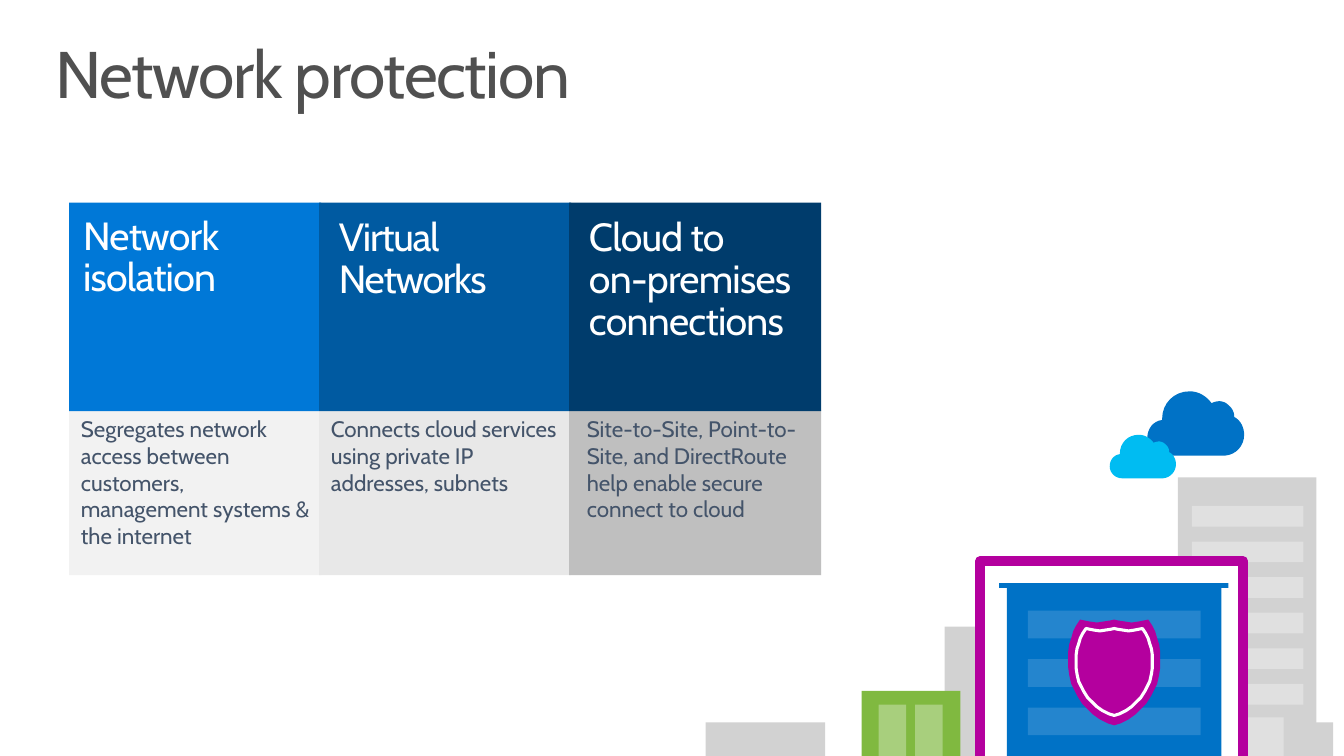
from dataclasses import dataclass

from lxml import etree
from pptx import Presentation, util as u
from pptx.dml.color import RGBColor
from pptx.enum import shapes, text
from pptx.oxml import ns


@dataclass(frozen=True)
class Theme:
    font: str = "Cabin"
    title_size: float = 48
    header_size: float = 28.6
    body_size: float = 16.3
    title: str = "505050"
    body: str = "44546A"
    white: str = "FFFFFF"
    grey: str = "D2D2D2"
    blue: str = "0072C6"
    cyan: str = "00BCF2"
    green: str = "80B940"
    magenta: str = "B4009E"


@dataclass(frozen=True)
class Box:
    left: float
    top: float
    width: float
    height: float

    def inside(self, dx, dy, width, height):
        """Box given by its offset from this one's top left corner."""
        return Box(self.left + dx, self.top + dy, width, height)

    def lengths(self):
        return [u.Inches(n) for n in (self.left, self.top, self.width, self.height)]


THEME = Theme()

# header, header fill, header left inset, line pitch, letter spacing,
# body, body fill, body text offset, body text width
COLUMNS = [
    ("Network isolation", "0078D7", 0.14, 30, -0.5,
     "Segregates network access between customers, management systems & the internet",
     "F2F2F2", 0.02, 2.55),
    ("Virtual Networks", "005AA1", 0.2, 30.6, -0.9,
     "Connects cloud services using private IP addresses, subnets",
     "E8E8E8", 0.02, 2.52),
    ("Cloud to \von-premises connections", "003C6C", 0.2, 30.6, -0.5,
     "Site-to-Site, Point-to-Site, and DirectRoute help enable secure connect to cloud",
     "BFBFBF", 0.08, 2.46),
]

# Bezier segments (two controls and an end) in hundredths of an inch
CLOUD_SIZE = (98, 65)
CLOUD_START = (15, 28)
CLOUD_CURVES = [
    ((15, 12), (27, 0), (43, 0)),
    ((52, 0), (60, 5), (65, 12)),
    ((67, 11), (70, 10), (73, 10)),
    ((75, 10), (79, 11), (81, 13)),
    ((85, 16), (88, 20), (88, 26)),
    ((94, 29), (98, 36), (98, 44)),
    ((98, 55), (90, 64), (79, 65)),
    ((60, 65), (38, 65), (18, 65)),
    ((8, 65), (0, 57), (0, 47)),
    ((0, 38), (6, 30), (15, 29)),
]

# Right half of the shield, measured from the middle of its top edge
SHIELD_SIZE = (93, 107)
SHIELD_HALF = [
    (0, 0), (4.5, 1), (11, 2), (17.5, 3), (24.5, 2), (34.5, 0), (38.5, 6),
    (41.5, 12), (43.5, 19), (45.5, 25), (46.5, 32), (46.5, 49), (45.5, 56),
    (43.5, 65), (40.5, 71), (37.5, 77), (32.5, 85), (27.5, 90), (21.5, 96),
    (14.5, 101), (6.5, 105), (0, 107),
]


def paint(shape, fill=None, alpha=None, line=None, weight=0):
    shape.shadow.inherit = False
    if fill:
        shape.fill.solid()
        shape.fill.fore_color.rgb = RGBColor.from_string(fill)
    else:
        shape.fill.background()
    if alpha:
        color = shape.fill._xPr.find(".//" + ns.qn("a:srgbClr"))
        etree.SubElement(color, ns.qn("a:alpha"), val=str(alpha * 1000))
    if line:
        shape.line.color.rgb = RGBColor.from_string(line)
        shape.line.width = u.Pt(weight)
    else:
        shape.line.fill.background()
    return shape


def add_block(page, box, fill, **look):
    block = page.shapes.add_shape(shapes.MSO_SHAPE.RECTANGLE, *box.lengths())
    return paint(block, fill, **look)


def add_outline(page, box, points, size, **look):
    """Draw a closed outline, scaled from its design size to the box."""
    placed = [(u.Inches(box.left + x * box.width / size[0]),
               u.Inches(box.top + y * box.height / size[1])) for x, y in points]
    builder = page.shapes.build_freeform(*placed[0], scale=1.0)
    builder.add_line_segments(placed[1:], close=True)
    return paint(builder.convert_to_shape(), **look)


def write(shape, words, size, color, insets, pitch=None, spacing=0):
    frame = shape.text_frame
    left, top, right, bottom = (u.Inches(n) for n in insets)
    frame_format = {"word_wrap": True, "vertical_anchor": text.MSO_ANCHOR.TOP,
                    "margin_left": left, "margin_top": top,
                    "margin_right": right, "margin_bottom": bottom}
    for name, value in frame_format.items():
        setattr(frame, name, value)
    para = frame.paragraphs[0]
    para.text = words
    para.alignment = text.PP_ALIGN.LEFT
    para.line_spacing = pitch
    for span in para.runs:
        for name, value in {"name": THEME.font, "size": u.Pt(size)}.items():
            setattr(span.font, name, value)
        span.font.color.rgb = RGBColor.from_string(color)
        if spacing:
            span._r.get_or_add_rPr().set("spc", str(round(spacing * 100)))


def add_title(page, box):
    title = page.shapes.title
    for name, value in zip(("left", "top", "width", "height"), box.lengths()):
        setattr(title, name, value)
    write(title, "Network protection", THEME.title_size, THEME.title,
          (0.16, 0.1, 0.16, 0.1), 0.9, -1)


def add_columns(page, box):
    step, header_height = 2.53, 2.11
    for index, (header, header_fill, inset, pitch, spacing,
                body, body_fill, shift, width) in enumerate(COLUMNS):
        column = box.inside(index * step, 0, 2.55, box.height)
        add_block(page, column.inside(0, 2.1, 2.55, 1.67), body_fill)
        note = page.shapes.add_textbox(*column.inside(shift, 2.1, width, 1.5).lengths())
        write(note, body, THEME.body_size, THEME.body, (0.1, 0.05, 0.1, 0.05))
        head = add_block(page, column.inside(0, 0, 2.55, header_height), header_fill)
        write(head, header, THEME.header_size, THEME.white,
              (inset, 0.15, 0, 0.05), u.Pt(pitch), spacing)


def add_cloud(page, box, fill):
    points = [CLOUD_START]
    for first, second, end in CLOUD_CURVES:
        corners = (points[-1], first, second, end)
        for t in (n / 8 for n in range(1, 9)):
            weights = ((1 - t) ** 3, 3 * t * (1 - t) ** 2, 3 * t ** 2 * (1 - t), t ** 3)
            points.append(tuple(sum(w * corner[axis] for w, corner in zip(weights, corners))
                                for axis in (0, 1)))
    add_outline(page, box, points, CLOUD_SIZE, fill=fill)


def add_shield(page, box):
    middle = SHIELD_SIZE[0] / 2
    points = [(middle + x, y) for x, y in SHIELD_HALF]
    points += [(middle - x, y) for x, y in SHIELD_HALF[-2:0:-1]]
    add_outline(page, box, points, SHIELD_SIZE, fill=THEME.magenta)
    add_outline(page, box.inside(0.08, 0.09, 0.77, 0.88), points, SHIELD_SIZE,
                line=THEME.white, weight=2.25)


def add_building(page, box, fill, panes, alpha):
    add_block(page, box, fill)
    for pane in panes:
        add_block(page, box.inside(*pane), THEME.white, alpha=alpha)


def add_skyline(page, box):
    tower_panes = [(0.14, 0.29 + 0.36 * row, 1.13, 0.21) for row in range(6)]
    add_building(page, box.inside(4.78, 0.87, 1.4, 2.82), THEME.grey,
                 [(0.69, 2.43, 0.38, 0.39)] + tower_panes, 32)
    for low in ((2.42, 2.38, 0.62, 1.31), (0, 3.35, 1.21, 0.34), (5.92, 3.35, 0.43, 0.34)):
        add_block(page, box.inside(*low), THEME.grey)

    add_block(page, box.inside(2.78, 1.72, 2.66, 2.21), THEME.white,
              line=THEME.magenta, weight=7.5)
    house = box.inside(3.05, 1.99, 2.17, 1.7)
    add_building(page, house, THEME.blue,
                 [(0.21, 0.23 + 0.49 * row, 1.75, 0.28) for row in range(3)], 14)
    add_block(page, house.inside(-0.08, -0.05, 2.32, 0.05), THEME.blue)
    add_shield(page, house.inside(0.62, 0.32, 0.93, 1.07))

    add_cloud(page, box.inside(4.47, 0, 0.98, 0.65), THEME.blue)
    add_cloud(page, box.inside(4.09, 0.44, 0.67, 0.44), THEME.cyan)
    add_building(page, box.inside(1.58, 3.03, 1, 0.66), THEME.green,
                 [(0.17 + 0.37 * side, 0.14, 0.28, 0.52) for side in range(2)], 32)


def main():
    deck = Presentation()
    deck.slide_width, deck.slide_height = u.Inches(13.6), u.Inches(7.65)
    page = deck.slides.add_slide(deck.slide_layouts[5])
    add_title(page, Box(0.4, 0.32, 12.8, 1))
    add_skyline(page, Box(7.14, 3.96, 6.35, 3.69))
    add_columns(page, Box(0.7, 2.05, 7.61, 3.77))
    deck.save("out.pptx")


if __name__ == "__main__":
    main()
